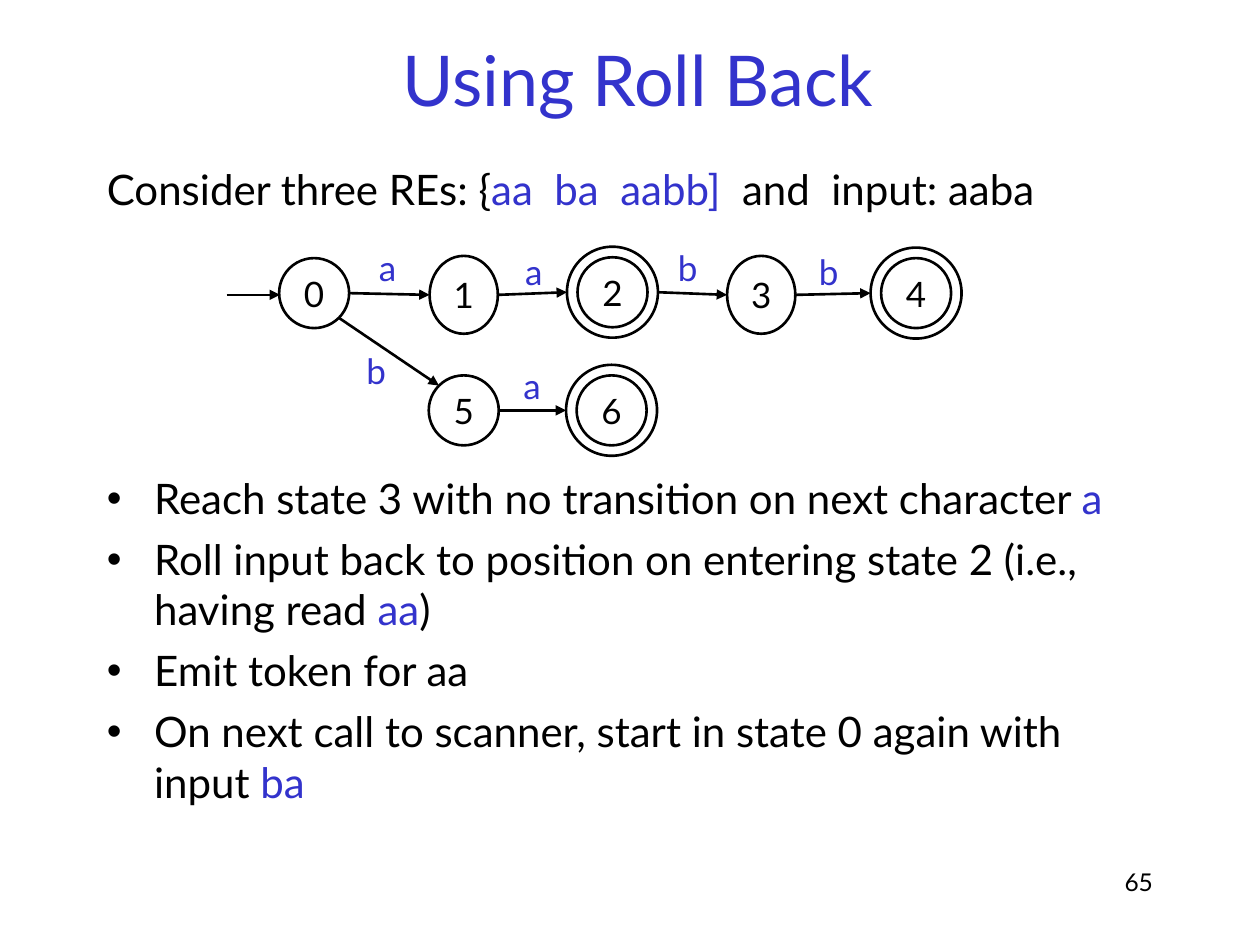
from math import cos, radians, sin

from lxml.etree import SubElement
from pptx import Presentation
from pptx.dml.color import RGBColor
from pptx.enum.shapes import MSO_CONNECTOR as Connector, MSO_SHAPE as Shape
from pptx.enum.text import MSO_ANCHOR as Anchor, MSO_AUTO_SIZE as AutoSize, PP_ALIGN as Align
from pptx.oxml.ns import qn
from pptx.util import Pt

FONT = "Lato"
BLACK, BLUE, WHITE = "000000", "3333CC", "FFFFFF"
RING_GAP = 6
BULLET_INDENT = 27


def write(shape, paragraphs, size=24, color=BLACK, align=Align.LEFT,
          anchor=Anchor.TOP, wrap=True, bullet=None, space_before=6):
    """Fill a shape with paragraphs, each a list of (text, color) runs or a string."""
    frame = shape.text_frame
    frame.auto_size = AutoSize.NONE
    frame.word_wrap = wrap
    frame.vertical_anchor = anchor
    for index, runs in enumerate(paragraphs):
        paragraph = frame.paragraphs[0] if index == 0 else frame.add_paragraph()
        paragraph.alignment = align
        paragraph.space_before = Pt(space_before if index else 0)
        if bullet:
            properties = paragraph._p.get_or_add_pPr()
            properties.set("marL", str(Pt(BULLET_INDENT)))
            properties.set("indent", str(-Pt(BULLET_INDENT)))
            SubElement(properties, qn("a:buFont"), typeface="Arial")
            SubElement(properties, qn("a:buChar"), char=bullet)
        for text, run_color in [(runs, color)] if isinstance(runs, str) else runs:
            run = paragraph.add_run()
            run.text = text
            run.font.name = FONT
            run.font.size = Pt(size)
            run.font.color.rgb = RGBColor.from_string(run_color)


def add_ellipse(center_x, center_y, width, height, fill=None):
    ellipse = slide.shapes.add_shape(
        Shape.OVAL, Pt(center_x - width / 2), Pt(center_y - height / 2), Pt(width), Pt(height))
    ellipse.shadow.inherit = False
    if fill:
        ellipse.fill.solid()
        ellipse.fill.fore_color.rgb = RGBColor.from_string(fill)
    else:
        ellipse.fill.background()
    ellipse.line.color.rgb = RGBColor.from_string(BLACK)
    ellipse.line.width = Pt(1.5)
    return ellipse


presentation = Presentation()
presentation.slide_width, presentation.slide_height = Pt(720), Pt(540)
slide = presentation.slides.add_slide(presentation.slide_layouts[5])

# Title, introduction, bullets and page number
title = slide.shapes.title
title.left, title.top, title.width, title.height = Pt(58.5), Pt(0), Pt(612), Pt(90)
write(title, ["Using Roll Back"], size=40, color=BLUE, align=Align.CENTER, anchor=Anchor.MIDDLE)

introduction = slide.shapes.add_textbox(Pt(54), Pt(90), Pt(612), Pt(38))
write(introduction, [[("Consider three REs: {", BLACK), ("aa  ba  aabb]", BLUE),
                      ("  and  input: aaba", BLACK)]])

steps = slide.shapes.add_textbox(Pt(54), Pt(266.5), Pt(612), Pt(213.5))
write(steps, [
    [("Reach state 3 with no transition on next character ", BLACK), ("a", BLUE)],
    [("Roll input back to position on entering state 2 (i.e., having read ", BLACK),
     ("aa", BLUE), (")", BLACK)],
    "Emit token for aa",
    [("On next call to scanner, start in state 0 again with input ", BLACK), ("ba", BLUE)],
], bullet="•")

page_number = slide.shapes.add_textbox(Pt(516), Pt(492), Pt(150), Pt(36))
write(page_number, ["65"], size=14, align=Align.RIGHT)

# States: center x, center y, width, height, accepting
states = {
    "0": (179.5, 167.5, 40, 40, False),
    "1": (265, 168.5, 39, 44.5, False),
    "2": (350, 167, 40, 40, True),
    "3": (435, 168.5, 39, 44.5, False),
    "4": (523.5, 167.5, 40, 40, True),
    "5": (265, 234.5, 40, 40, False),
    "6": (349.5, 234.5, 40, 40, True),
}
for name, (x, y, width, height, accepting) in states.items():
    state = add_ellipse(x, y, width, height, fill=WHITE)
    write(state, [name], size=20, align=Align.CENTER, anchor=Anchor.MIDDLE, wrap=False)
    if accepting:
        add_ellipse(x, y, width + 2 * RING_GAP, height + 2 * RING_GAP)

# Transitions: source, target, angle of the ends, label, label center x, label top
transitions = [
    ("0", "1", 0, "a", 221.5, 137.5),
    ("1", "2", 0, "a", 305, 139.5),
    ("2", "3", 0, "b", 393, 137.5),
    ("3", "4", 0, "b", 473.5, 139.5),
    ("0", "5", 45, "b", 215, 196),
    ("5", "6", 0, "a", 304, 204.5),
]
arrows = [(129.5, 168.5, 160, 168.5)]
for source, target, angle, label, label_x, label_top in transitions:
    ends = []
    for name, side in ((source, 1), (target, -1)):
        x, y, width, height, accepting = states[name]
        ring = RING_GAP if accepting else 0
        ends += [x + side * (width / 2 + ring) * cos(radians(angle)),
                 y + side * (height / 2 + ring) * sin(radians(angle))]
    arrows.append(ends)
    label_box = slide.shapes.add_textbox(Pt(label_x - 13), Pt(label_top), Pt(26), Pt(32))
    write(label_box, [label], size=20, color=BLUE, align=Align.CENTER, wrap=False)

for ends in arrows:
    arrow = slide.shapes.add_connector(Connector.STRAIGHT, *[Pt(value) for value in ends])
    arrow.line.color.rgb = RGBColor.from_string(BLACK)
    arrow.line.width = Pt(1.5)
    SubElement(arrow.line._get_or_add_ln(), qn("a:tailEnd"), type="triangle")
    SubElement(arrow._element.spPr, qn("a:effectLst"))

presentation.save("out.pptx")
